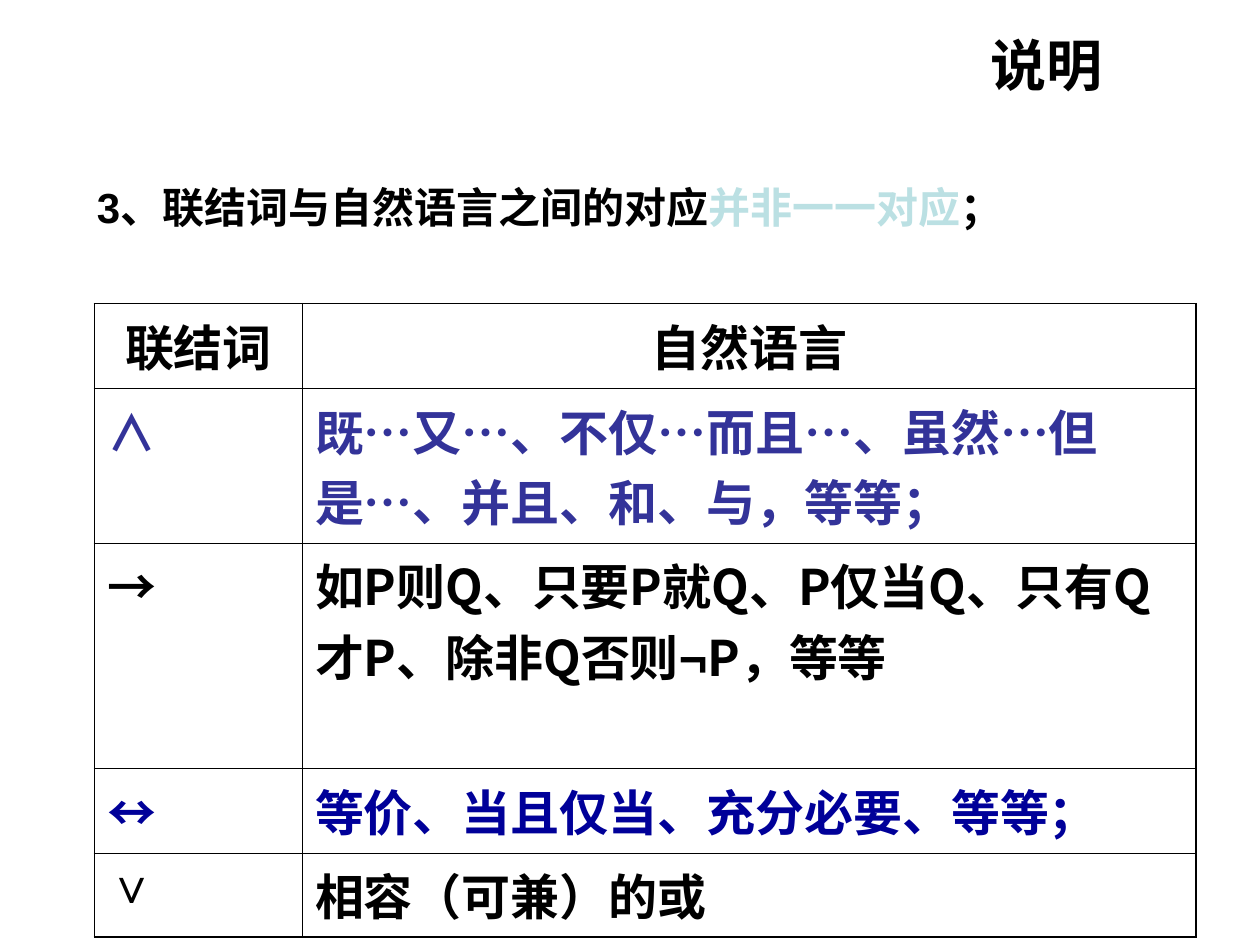
from lxml import etree
from pptx import Presentation
from pptx.dml.color import RGBColor
from pptx.enum.text import MSO_ANCHOR, MSO_AUTO_SIZE, PP_ALIGN
from pptx.oxml.ns import qn
from pptx.util import Inches, Pt

CENTER, LEFT, RIGHT = PP_ALIGN.CENTER, PP_ALIGN.LEFT, PP_ALIGN.RIGHT
MIDDLE, NO_FIT = MSO_ANCHOR.MIDDLE, MSO_AUTO_SIZE.NONE
COLORS = {"ink": "000000", "paper": "FFFFFF", "accent": "BBE0E3",
          "indigo": "333399", "navy": "000099"}
SANS, CJK = "Arial", "Noto Sans CJK SC"
TITLE_ONLY = 5
OUTER_LINE, INNER_LINE = 1.08, 0.45
COLUMN_WIDTHS = [1.65, 7.09]
ROW_HEIGHTS = [0.67, 1.23, 1.79, 0.67, 0.67]
CONNECTIVES = [
    ("ink", [("联结词", CJK)], [("自然语言", CJK)]),
    ("indigo", [("∧", CJK)],
     [("既…又…、不仅…而且…、虽然…但是…、并且、和、与，等等；", CJK)]),
    ("ink", [("→", CJK)],
     [("如P则Q、只要P就Q、P仅当Q、只有Q才P、除非Q否则", CJK),
      ("¬", SANS), ("P，等等", CJK)]),
    ("navy", [("↔", CJK)], [("等价、当且仅当、充分必要、等等；", CJK)]),
    ("ink", [("∨", SANS)], [("相容（可兼）的或", CJK)]),
]


def rgb(color):
    """Return the named colour."""
    return RGBColor.from_string(COLORS[color])


def add_run(paragraph, text, size, font, color):
    """Add one bold run in the given font and colour."""
    run = paragraph.add_run()
    run.text = text
    run.font.size = Pt(size)
    run.font.bold = True
    run.font.color.rgb = rgb(color)
    run.font.name = font
    east_asian = etree.SubElement(run.font._element, qn("a:ea"))
    east_asian.set("typeface", CJK)


def add_title(slide, left, top, width, height):
    """Place the right-aligned slide title."""
    title = slide.shapes.title
    title.left, title.top = Inches(left), Inches(top)
    title.width, title.height = Inches(width), Inches(height)
    frame = title.text_frame
    frame.auto_size = NO_FIT
    frame.vertical_anchor = MIDDLE
    heading = frame.paragraphs[0]
    heading.alignment = RIGHT
    add_run(heading, "说明", 32, SANS, "ink")


def add_statement(slide, left, top, width, height):
    """Place the numbered statement above the table."""
    statement = slide.shapes.add_textbox(
        Inches(left), Inches(top), Inches(width), Inches(height))
    frame = statement.text_frame
    frame.word_wrap = True
    sentence = frame.paragraphs[0]
    sentence.line_spacing = 1.2
    sentence.space_before = Pt(6)
    for text, color in [("3、联结词与自然语言之间的对应", "ink"),
                        ("并非一一对应", "accent"), ("；", "ink")]:
        add_run(sentence, text, 24, SANS, color)


def set_borders(cell, widths):
    """Draw the four cell borders with the given widths in points."""
    properties = cell._tc.get_or_add_tcPr()
    for side, width in widths.items():
        line = etree.SubElement(properties, qn(f"a:ln{side}"), w=str(Pt(width)))
        fill = etree.SubElement(line, qn("a:solidFill"))
        etree.SubElement(fill, qn("a:srgbClr"), val=COLORS["ink"])


def add_connective_table(slide, left, top, width, height):
    """Place the table matching connectives with natural language."""
    last_row, last_column = len(ROW_HEIGHTS) - 1, len(COLUMN_WIDTHS) - 1
    table = slide.shapes.add_table(
        last_row + 1, last_column + 1, Inches(left), Inches(top),
        Inches(width), Inches(height)).table
    table.first_row = table.horz_banding = False
    for column, column_width in zip(table.columns, COLUMN_WIDTHS):
        column.width = Inches(column_width)
    for row, row_height in zip(table.rows, ROW_HEIGHTS):
        row.height = Inches(row_height)
    for r, (color, *contents) in enumerate(CONNECTIVES):
        for c, runs in enumerate(contents):
            cell = table.cell(r, c)
            at_edge = {"L": c == 0, "R": c == last_column,
                       "T": r == 0, "B": r == last_row}
            set_borders(cell, {side: OUTER_LINE if edge else INNER_LINE
                               for side, edge in at_edge.items()})
            cell.fill.solid()
            cell.fill.fore_color.rgb = rgb("paper")
            entry = cell.text_frame.paragraphs[0]
            entry.alignment = CENTER if r == 0 else LEFT
            entry.space_before = Pt(7)
            for text, font in runs:
                add_run(entry, text, 28, font, color)


def main():
    """Build and save the slide."""
    deck = Presentation()
    deck.slide_width, deck.slide_height = Inches(10), Inches(7.5)
    slide = deck.slides.add_slide(deck.slide_layouts[TITLE_ONLY])
    add_title(slide, 2.16, 0.28, 6.69, 0.46)
    add_statement(slide, 0.67, 1.31, 8.9, 0.71)
    add_connective_table(slide, 0.75, 2.41, sum(COLUMN_WIDTHS), sum(ROW_HEIGHTS))
    deck.save("out.pptx")


if __name__ == "__main__":
    main()
